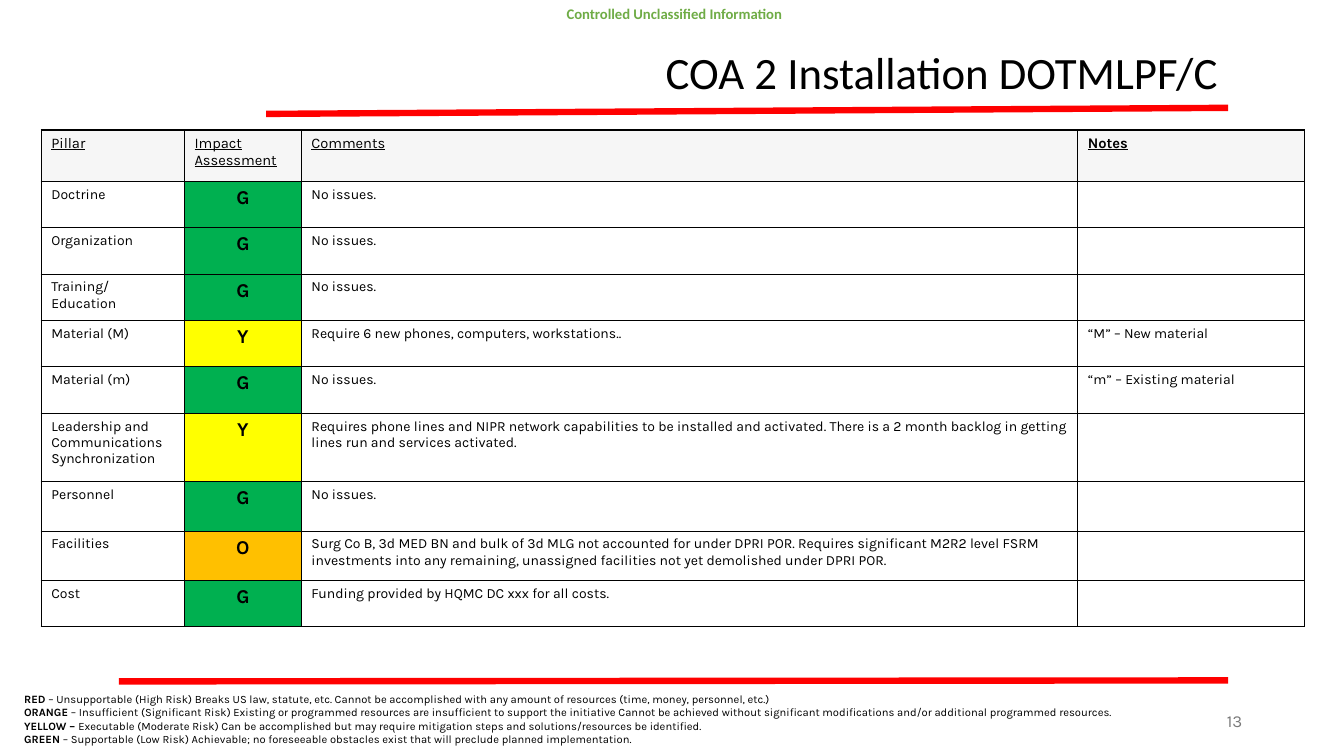
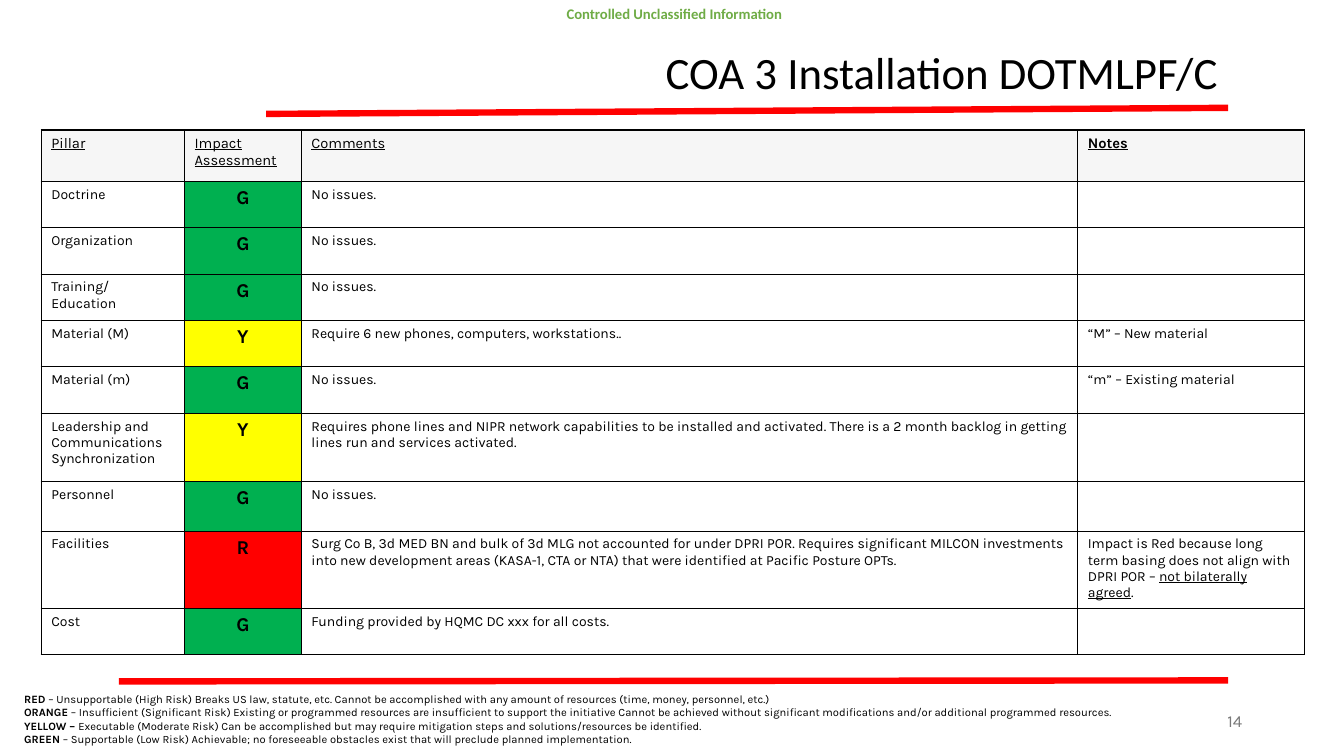
from lxml import etree
from pptx import Presentation
from pptx import util as u
from pptx.dml.color import RGBColor
from pptx.enum import shapes, text
from pptx.oxml import ns

Inches = u.Inches
ALIGN, ANCHOR = text.PP_ALIGN, text.MSO_ANCHOR

# Shared look
BLACK = RGBColor(0x00, 0x00, 0x00)
RED = RGBColor(0xFF, 0x00, 0x00)
ORANGE = RGBColor(0xFF, 0xC0, 0x00)
YELLOW = RGBColor(0xFF, 0xFF, 0x00)
GREEN = RGBColor(0x00, 0xB0, 0x50)
HEADER_GRAY = RGBColor(0xF6, 0xF6, 0xF6)
PAGE_GRAY = RGBColor(0x79, 0x79, 0x79)
MARKING_GREEN = RGBColor(0x6F, 0xAC, 0x46)
TITLE_FONT, BODY_FONT = "Calibri", "Karla"
RATING_COLORS = {"G": GREEN, "Y": YELLOW, "O": ORANGE, "R": RED}

# Table grid, in inches
TABLE_LEFT, TABLE_TOP = 0.41, 1.29
COLUMN_WIDTHS = (1.42, 1.16, 7.7, 2.25)
HEADER_HEIGHT, ROW_HEIGHT = 0.51, 0.46
TALL_ROWS = {"Leadership and Communications Synchronization": 0.68,
             "Personnel": 0.49, "Facilities": 0.49}

# Content
HEADERS = ("Pillar", "Impact Assessment", "Comments", "Notes")
NO_ISSUES = "No issues."
LEGEND = [
    [("RED", True), (" – Unsupportable (High Risk) Breaks US law, statute, etc. Cannot be "
                     "accomplished with any amount of resources (time, money, personnel, etc.)", False)],
    [("ORANGE", True), (" – Insufficient (Significant Risk) Existing or programmed resources are "
                        "insufficient to support the initiative Cannot be achieved without significant "
                        "modifications and/or additional programmed resources.", False)],
    [("YELLOW – ", True), ("Executable (Moderate Risk) Can be accomplished but may require "
                           "mitigation steps and solutions/resources be identified.", False)],
    [("GREEN", True), (" – Supportable (Low Risk) Achievable; no foreseeable obstacles exist "
                       "that will preclude planned implementation.", False)],
]


def pillar_rows(facilities):
    """Rows of pillar, rating, comment and notes; only Facilities differs by course of action."""
    return [
        ("Doctrine", "G", NO_ISSUES, ""),
        ("Organization", "G", NO_ISSUES, ""),
        ("Training/ Education", "G", NO_ISSUES, ""),
        ("Material (M)", "Y", "Require 6 new phones, computers, workstations..", "“M” – New material"),
        ("Material (m)", "G", NO_ISSUES, "“m” – Existing material"),
        ("Leadership and Communications Synchronization", "Y",
         "Requires phone lines and NIPR network capabilities to be installed and activated. "
         "There is a 2 month backlog in getting lines run and services activated.", ""),
        ("Personnel", "G", NO_ISSUES, ""),
        ("Facilities", *facilities),
        ("Cost", "G", "Funding provided by HQMC DC xxx for all costs.", ""),
    ]


COURSES = [
    {"title": "COA 2 Installation DOTMLPF/C", "page": "13", "heights": TALL_ROWS,
     "facilities": ("O", "Surg Co B, 3d MED BN and bulk of 3d MLG not accounted for under DPRI POR. "
                    "Requires significant M2R2 level FSRM investments into any remaining, "
                    "unassigned facilities not yet demolished under DPRI POR.", "")},
    {"title": "COA 3 Installation DOTMLPF/C", "page": "14", "heights": {**TALL_ROWS, "Facilities": 0.74},
     "facilities": ("R", "Surg Co B, 3d MED BN and bulk of 3d MLG not accounted for under DPRI POR. "
                    "Requires significant MILCON investments into new development areas "
                    "(KASA-1, CTA or NTA) that were identified at Pacific Posture OPTs.",
                    [("Impact is Red because long term basing does not align with DPRI POR – ", False),
                     ("not bilaterally agreed", False, True), (".", False)])},
]


def write(paragraph, content, size=10, font=BODY_FONT, color=BLACK, bold=False,
          underline=False, align=ALIGN.LEFT, spacing=None):
    """Fill a paragraph from a string or from (text, bold, underline) parts."""
    paragraph.alignment = align
    if spacing:
        paragraph.line_spacing = spacing
    parts = [(content, bold, underline)] if isinstance(content, str) else content
    for words, is_bold, *is_underlined in parts:
        run = paragraph.add_run()
        run.text = words
        run.font.size, run.font.name = u.Pt(size), font
        run.font.bold = is_bold
        run.font.underline = any(is_underlined)
        run.font.color.rgb = color


def text_area(slide, box, paragraphs, anchor=ANCHOR.TOP, insets=None, **style):
    frame = slide.shapes.add_textbox(*map(Inches, box)).text_frame
    frame.word_wrap = True
    frame.vertical_anchor = anchor
    if insets:
        (frame.margin_left, frame.margin_top,
         frame.margin_right, frame.margin_bottom) = map(Inches, insets)
    for index, content in enumerate(paragraphs):
        paragraph = frame.add_paragraph() if index else frame.paragraphs[0]
        write(paragraph, content, **style)


def red_rule(slide, *ends):
    rule = slide.shapes.add_connector(shapes.MSO_CONNECTOR.STRAIGHT, *map(Inches, ends))
    rule.line.color.rgb = RED
    rule.line.width = u.Pt(4.56)
    etree.SubElement(rule._element.spPr, ns.qn("a:effectLst"))


def style_cell(cell, fill):
    """Draw black borders on all sides, then set the fill."""
    properties = cell._tc.get_or_add_tcPr()
    for side in ("lnL", "lnR", "lnT", "lnB"):
        border = etree.SubElement(properties, ns.qn("a:" + side), w=str(u.Pt(1)))
        solid = etree.SubElement(border, ns.qn("a:solidFill"))
        etree.SubElement(solid, ns.qn("a:srgbClr"), val=str(BLACK))
    if fill is None:
        cell.fill.background()
    else:
        cell.fill.solid()
        cell.fill.fore_color.rgb = fill


def impact_table(slide, left, top, rows, tall_rows):
    heights = [HEADER_HEIGHT] + [tall_rows.get(row[0], ROW_HEIGHT) for row in rows]
    table = slide.shapes.add_table(
        len(heights), len(COLUMN_WIDTHS), Inches(left), Inches(top),
        Inches(sum(COLUMN_WIDTHS)), Inches(sum(heights))).table
    table.first_row = table.horz_banding = False
    for column, width in zip(table.columns, COLUMN_WIDTHS):
        column.width = Inches(width)
    for table_row, height in zip(table.rows, heights):
        table_row.height = Inches(height)

    for r, row in enumerate([HEADERS, *rows]):
        for c, content in enumerate(row):
            cell = table.cell(r, c)
            fill, style = None, {}
            if r == 0:
                fill = HEADER_GRAY
                style = {"size": 10.5, "underline": True, "bold": content == "Notes"}
            elif c == 1:
                fill = RATING_COLORS[content]
                style = {"size": 14, "bold": True, "align": ALIGN.CENTER}
            style_cell(cell, fill)
            if content:
                write(cell.text_frame.paragraphs[0], content, **style)


def frame_slide(slide, title, page):
    """Title, rules, page number, legend and marking shared by every slide."""
    red_rule(slide, 2.64, 1.13, 12.18, 1.07)
    red_rule(slide, 1.18, 6.76, 12.18, 6.75)
    text_area(slide, (2.64, 0.4, 9.54, 0.68), [title], anchor=ANCHOR.MIDDLE,
              size=32, font=TITLE_FONT, align=ALIGN.RIGHT, spacing=0.9)
    text_area(slide, (9.42, 6.95, 3, 0.4), [page], anchor=ANCHOR.MIDDLE,
              size=12, color=PAGE_GRAY, align=ALIGN.RIGHT)
    text_area(slide, (0.14, 6.82, 12.72, 0.64), LEGEND, size=8)
    text_area(slide, (5.61, 0.03, 2.52, 0.19), ["Controlled Unclassified Information"],
              insets=(0.01, 0.02, 0, 0), size=10.5, font=TITLE_FONT,
              color=MARKING_GREEN, bold=True)


def course_slide(deck, course):
    slide = deck.slides.add_slide(deck.slide_layouts[6])
    frame_slide(slide, course["title"], course["page"])
    impact_table(slide, TABLE_LEFT, TABLE_TOP, pillar_rows(course["facilities"]), course["heights"])


def main():
    deck = Presentation()
    deck.slide_width, deck.slide_height = Inches(13.33), Inches(7.5)
    for course in COURSES:
        course_slide(deck, course)
    deck.save("out.pptx")


if __name__ == "__main__":
    main()
